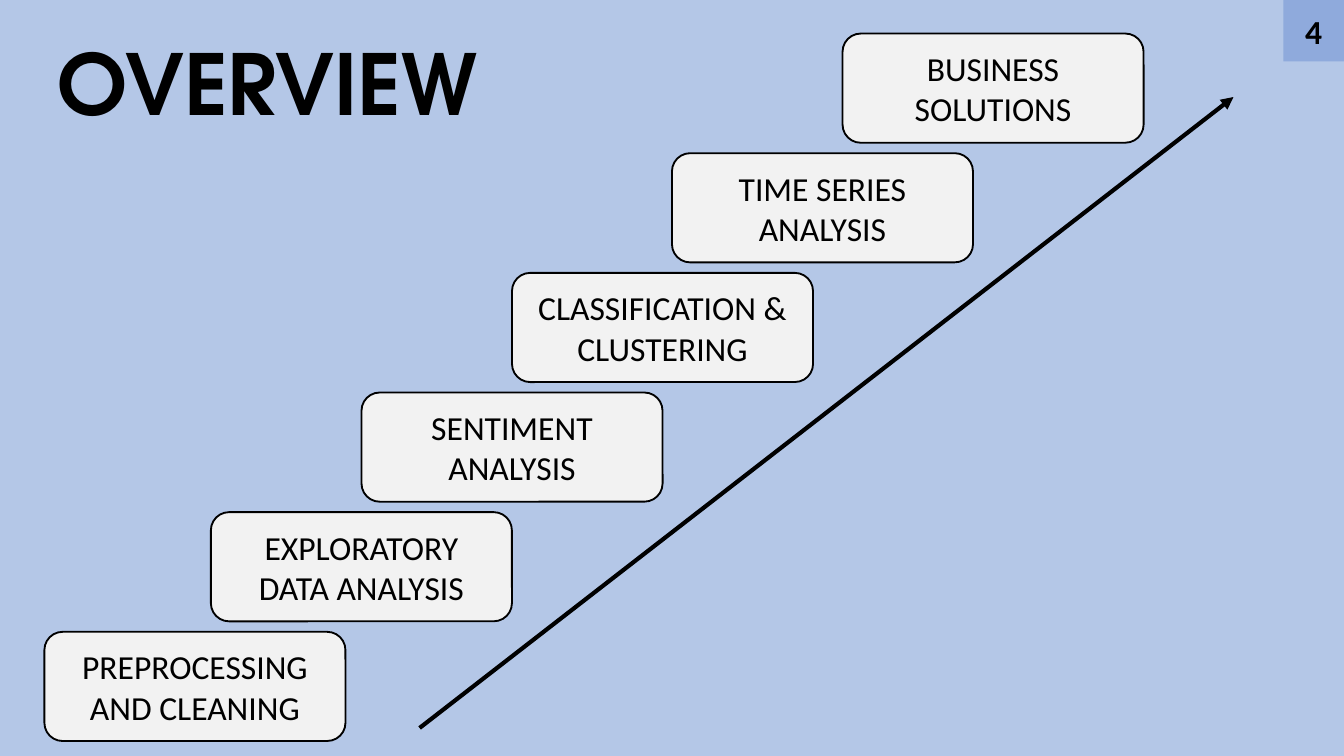
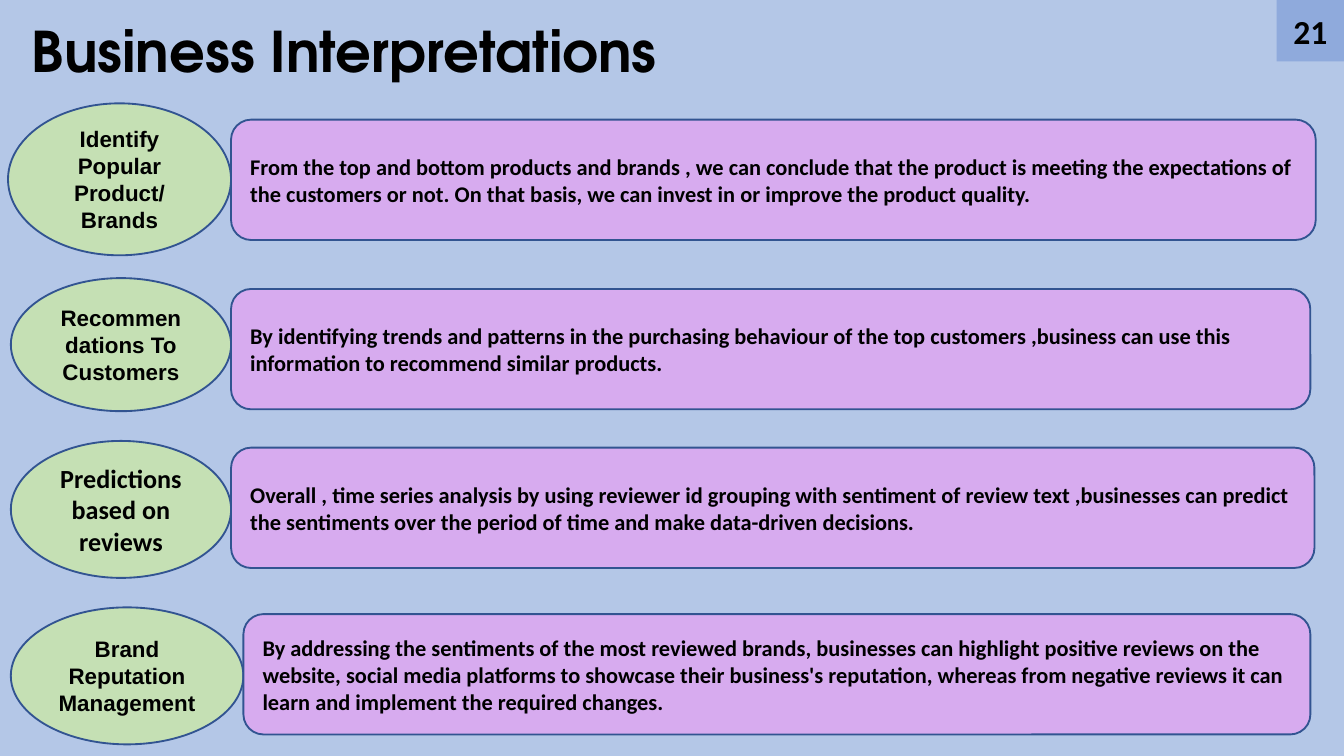
import collections

import pptx
import pptx.dml.color
import pptx.enum.shapes
import pptx.enum.text
import pptx.oxml.ns
import pptx.util
from lxml import etree

Pt = pptx.util.Pt
RGBColor = pptx.dml.color.RGBColor
SHAPE = pptx.enum.shapes.MSO_SHAPE
ALIGN = pptx.enum.text.PP_ALIGN
ANCHOR = pptx.enum.text.MSO_ANCHOR

SKY = RGBColor(0xB4, 0xC7, 0xE7)
BADGE_BLUE = RGBColor(0x8F, 0xAA, 0xDC)
OUTLINE_BLUE = RGBColor(0x32, 0x54, 0x91)
PALE_GREY = RGBColor(0xF2, 0xF2, 0xF2)
GREEN = RGBColor(0xC5, 0xE0, 0xB4)
LILAC = RGBColor(0xD7, 0xAB, 0xEF)
BLACK = RGBColor(0, 0, 0)

TITLE_FONT = "TeX Gyre Adventor"
BODY_FONT = "Calibri"
LABEL_FONT = "Arial"

PAGE_WIDTH, PAGE_HEIGHT = 720, 405
BADGE_HEIGHT = 33

# All box values are points
Box = collections.namedtuple("Box", "left top width height")
Topic = collections.namedtuple("Topic", "oval bar_top bar_right label font size statement")

STEPS = [  # left edge and wording, from the top step down
    (451.4, "BUSINESS SOLUTIONS"),
    (360, "TIME SERIES ANALYSIS"),
    (274.3, "CLASSIFICATION & CLUSTERING"),
    (193.7, "SENTIMENT ANALYSIS"),
    (113, "EXPLORATORY DATA ANALYSIS"),
    (23.8, "PREPROCESSING AND CLEANING"),
]

TOPICS = [
    Topic(Box(4.3, 55.4, 119.5, 81.4), 64.1, 704.9,
          "Identify Popular Product/ Brands", LABEL_FONT, 12,
          "From the top and bottom products and brands , we can conclude that the product "
          "is meeting the expectations of the customers or not. On that basis, we can "
          "invest in or improve the product quality."),
    Topic(Box(5.8, 149, 118, 71.3), 154.8, 702,
          "Recommendations To Customers", LABEL_FONT, 12,
          "By identifying trends and patterns in the purchasing behaviour of the top "
          "customers ,business can use this information to recommend similar products."),
    Topic(Box(5.8, 236.2, 118, 73.4), 239.8, 704.2,
          "Predictions based on reviews", BODY_FONT, 14,
          "Overall , time series analysis by using reviewer id grouping with sentiment of "
          "review text ,businesses can predict the sentiments over the period of time and "
          "make data-driven decisions."),
    Topic(Box(5.8, 325.4, 124.6, 73.4), 329, 702,
          "Brand Reputation Management", LABEL_FONT, 12,
          "By addressing the sentiments of the most reviewed brands, businesses can "
          "highlight positive reviews on the website, social media platforms to showcase "
          "their business's reputation, whereas from negative reviews it can learn and "
          "implement the required changes."),
]


def write(shape, text, size, font=BODY_FONT, bold=False, align=ALIGN.LEFT):
    """Put one middle-anchored paragraph into a shape."""
    frame = shape.text_frame
    frame.word_wrap = True
    frame.vertical_anchor = ANCHOR.MIDDLE
    para = frame.paragraphs[0]
    para.alignment = align
    span = para.add_run()
    span.text = text
    span.font.size = Pt(size)
    span.font.name = font
    span.font.bold = bold
    span.font.color.rgb = BLACK
    return para


def add_panel(page, kind, box, fill, outline=None):
    panel = page.shapes.add_shape(kind, *map(Pt, box))
    panel.shadow.inherit = False
    panel.fill.solid()
    panel.fill.fore_color.rgb = fill
    if outline is None:
        panel.line.fill.background()
    else:
        panel.line.color.rgb = outline
        panel.line.width = Pt(1)
    return panel


def add_arrow(page, start, end):
    arrow = page.shapes.add_connector(
        pptx.enum.shapes.MSO_CONNECTOR.STRAIGHT, *map(Pt, start + end))
    arrow.line.color.rgb = BLACK
    arrow.line.width = Pt(2.25)
    qn = pptx.oxml.ns.qn
    etree.SubElement(arrow.line._get_or_add_ln(), qn("a:tailEnd"), type="triangle")
    etree.SubElement(arrow._element.spPr, qn("a:effectLst"))


def add_page(deck, title, title_box, title_size, number, badge_width):
    """Blank page with background, title and number badge."""
    page = deck.slides.add_slide(deck.slide_layouts[6])
    page.background.fill.solid()
    page.background.fill.fore_color.rgb = SKY

    heading = page.shapes.add_textbox(*map(Pt, title_box))
    frame = heading.text_frame
    frame.margin_left = frame.margin_right = Pt(7.2)
    frame.margin_top = frame.margin_bottom = Pt(7.2)
    write(heading, title, title_size, TITLE_FONT, bold=True).line_spacing = 0.9

    badge_box = Box(PAGE_WIDTH - badge_width, 0, badge_width, BADGE_HEIGHT)
    badge = add_panel(page, SHAPE.RECTANGLE, badge_box, BADGE_BLUE)
    write(badge, number, 18, bold=True, align=ALIGN.CENTER)
    return page


def add_staircase(page, area):
    """Steps at equal heights that fill the area from top to bottom."""
    width, height = 161.3, 58.5
    pitch = (area.height - height) / (len(STEPS) - 1)
    for index, (left, text) in enumerate(STEPS):
        box = Box(left, area.top + index * pitch, width, height)
        step = add_panel(page, SHAPE.ROUNDED_RECTANGLE, box, PALE_GREY, BLACK)
        write(step, text, 18, align=ALIGN.CENTER)
    add_arrow(page, (area.left + 201, area.top + 372), (area.left + 637, area.top + 34))


def add_topic(page, topic):
    """Oval label with a statement bar that starts at its right edge."""
    oval = add_panel(page, SHAPE.OVAL, topic.oval, GREEN, OUTLINE_BLUE)
    write(oval, topic.label, topic.size, topic.font, bold=True, align=ALIGN.CENTER)
    left = topic.oval.left + topic.oval.width
    box = Box(left, topic.bar_top, topic.bar_right - left, 64.5)
    bar = add_panel(page, SHAPE.ROUNDED_RECTANGLE, box, LILAC, OUTLINE_BLUE)
    write(bar, topic.statement, 12, bold=True)


def main():
    deck = pptx.Presentation()
    deck.slide_width, deck.slide_height = Pt(PAGE_WIDTH), Pt(PAGE_HEIGHT)

    # Overview
    page = add_page(deck, "OVERVIEW", Box(24, 18, 266, 58.5), 45, "4", 32.5)
    add_staircase(page, Box(23.8, 18, 589, 379))

    # Business interpretations
    page = add_page(deck, "Business Interpretations", Box(10, 13, 495, 32.5), 30, "21", 36)
    for topic in TOPICS:
        add_topic(page, topic)

    deck.save("out.pptx")


if __name__ == "__main__":
    main()
